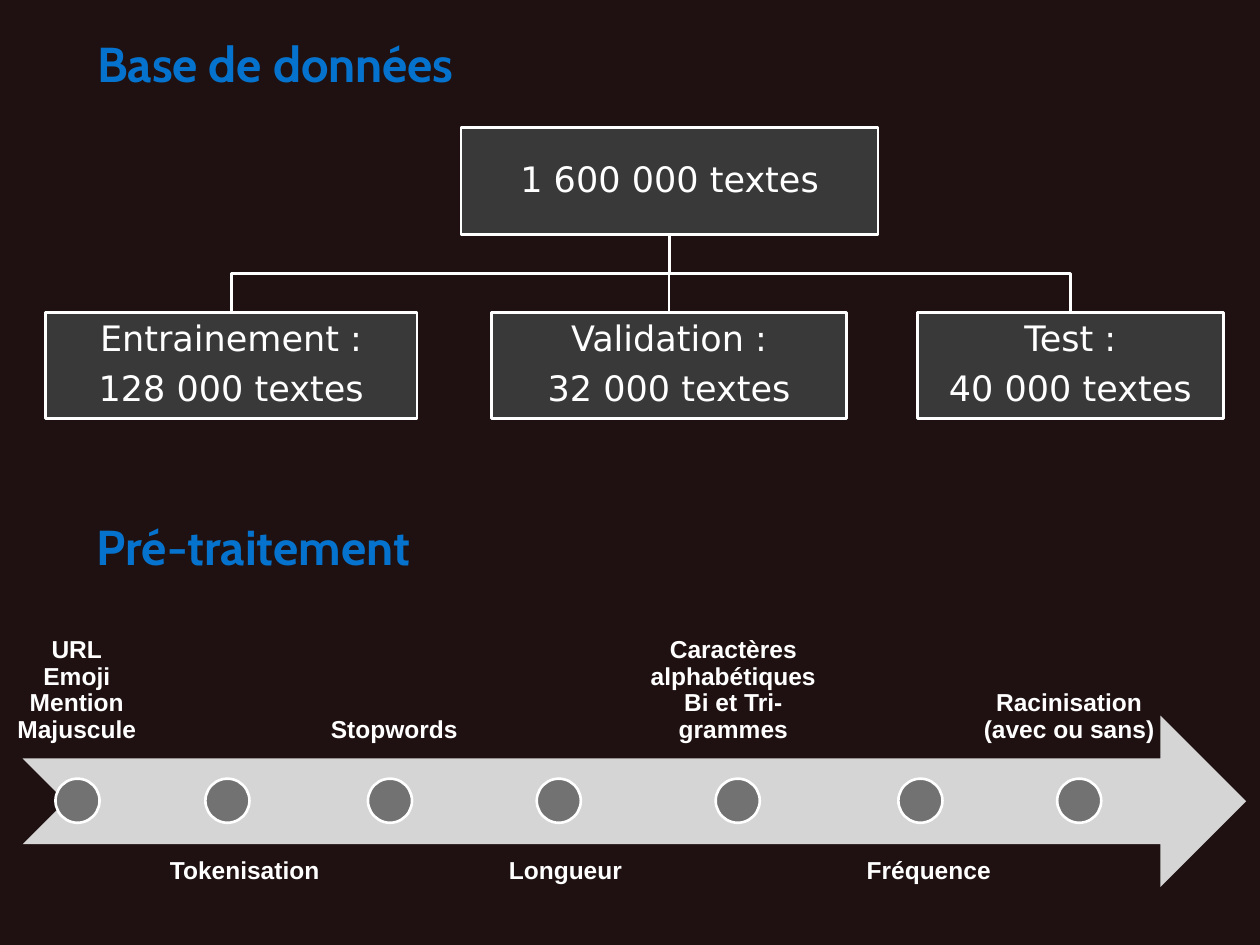
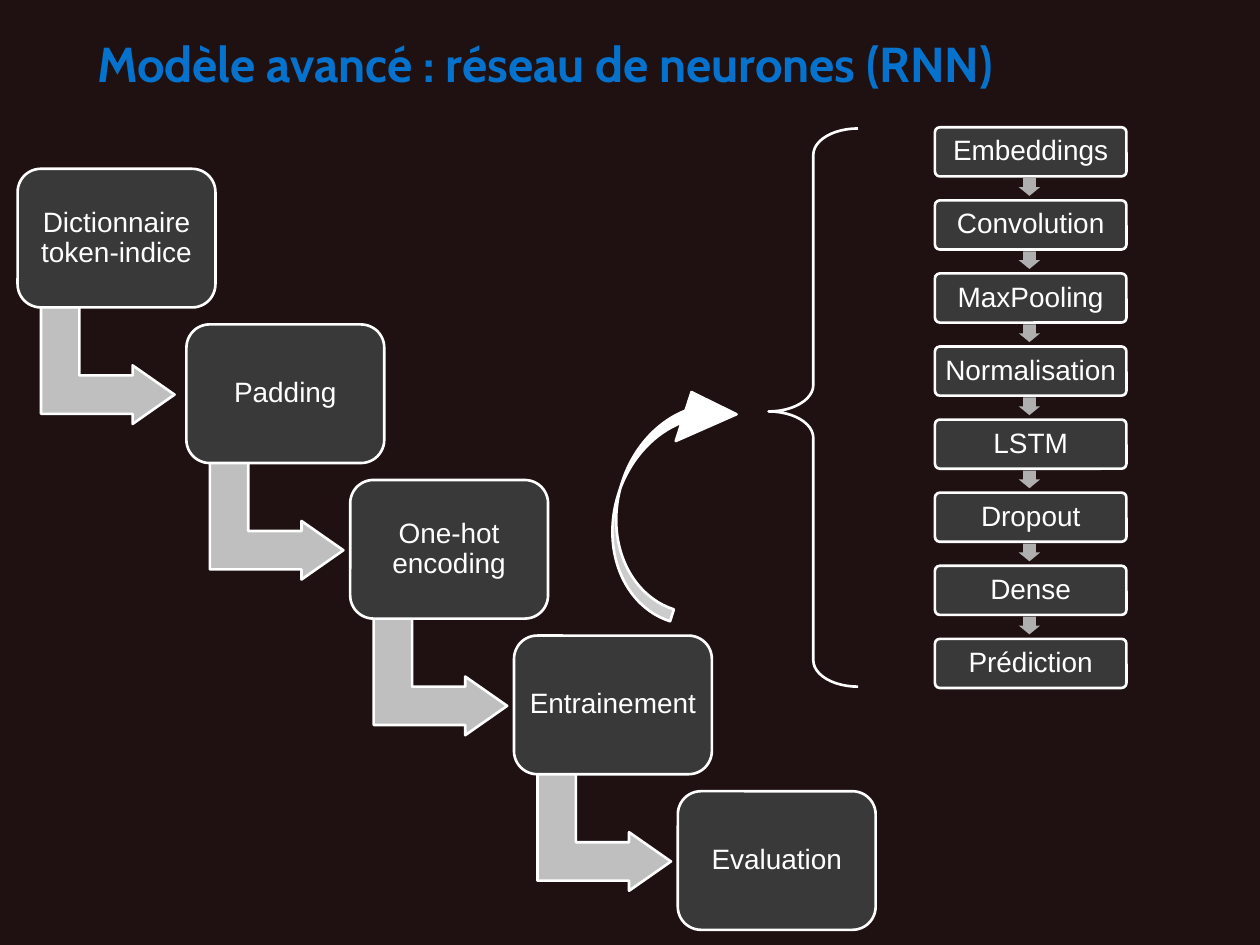
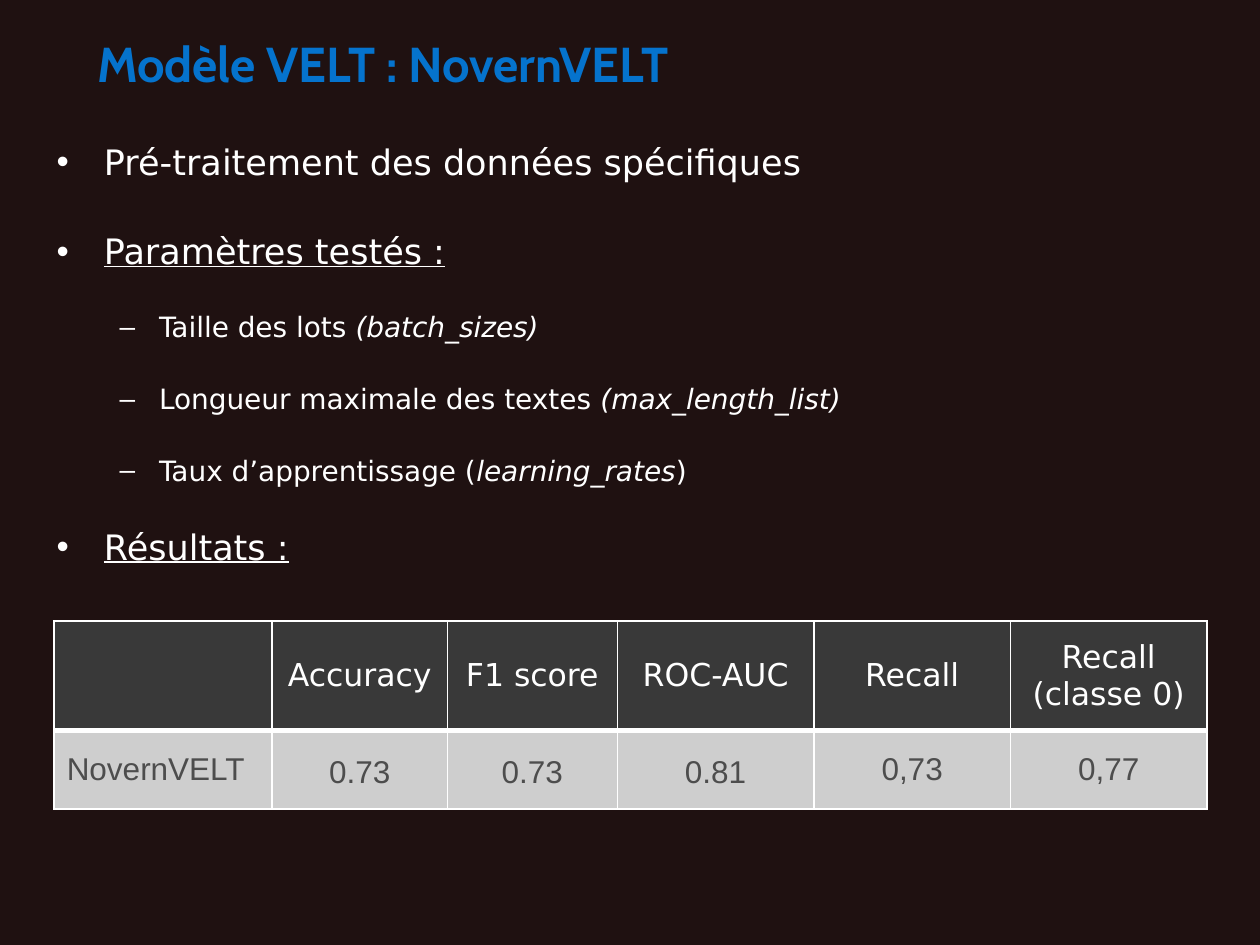
from lxml import etree
from pptx import Presentation
from pptx.dml.color import RGBColor
from pptx.enum import shapes, text
from pptx.oxml import ns
from pptx.util import Inches, Pt

# Shared look
COLORS = dict(background="1F1111", title="0573CD", white="FFFFFF", box="393939",
              dot="727272", band="D5D5D5", step_arrow="BFBFBF", layer_arrow="AFAFAF",
              row="CECECE", row_text="4D4D4D")
SANS, ARIAL, HEADING = "DejaVu Sans", "Arial", "Cabin"
LEFT, CENTER = text.PP_ALIGN.LEFT, text.PP_ALIGN.CENTER
TOP, MIDDLE, BOTTOM = text.MSO_ANCHOR.TOP, text.MSO_ANCHOR.MIDDLE, text.MSO_ANCHOR.BOTTOM
SHAPE = shapes.MSO_SHAPE
TITLE_BOX = (0.67, 0.16, 8.9, 0.68)

# Slide 1: data split, then the preprocessing steps
DATA_TITLE, STEPS_TITLE = "Base de données", "Pré-traitement"
ROOT = ("1 600 000 textes", (3.66, 1.01, 3.31, 0.85))
SPLITS = [  # text, left, width
    ("Entrainement :\n128 000 textes", 0.36, 2.95),
    ("Validation :\n32 000 textes", 3.9, 2.82),
    ("Test :\n40 000 textes", 7.28, 2.43),
]
STEPS = [  # dot left, label, label left, label width; labels alternate above and below
    (0.44, "URL\nEmoji\nMention\nMajuscule", -0.02, 1.26),
    (1.63, "Tokenisation", 1.25, 2.0),
    (2.92, "Stopwords", 2.45, 1.36),
    (4.26, "Longueur", 3.94, 1.85),
    (5.68, "Caractères alphabétiques\nBi et Tri-grammes", 4.91, 1.82),
    (7.13, "Fréquence", 6.78, 1.85),
    (8.39, "Racinisation\n(avec ou sans)", 7.64, 1.69),
]

# Slide 2: pipeline staircase and network layers
MODEL_TITLE = "Modèle avancé : réseau de neurones (RNN)"
STAIRS = [("Dictionnaire token-indice", 0.14), ("Padding", 1.48),
          ("One-hot encoding", 2.78), ("Entrainement", 4.08), ("Evaluation", 5.38)]
LAYERS = ["Embeddings", "Convolution", "MaxPooling", "Normalisation",
          "LSTM", "Dropout", "Dense", "Prédiction"]

# Slide 3: tested parameters and results
LANGUAGE_MODEL = "NovernVELT"
LANGUAGE_TITLE = f"Modèle VELT : {LANGUAGE_MODEL}"
BULLETS = [  # level, space before, runs as (text, mark)
    (0, 4.7, [("Pré-traitement des données spécifiques", "")]),
    (0, 29.7, [("Paramètres testés :", "underline")]),
    (1, 23.6, [("Taille des lots ", ""), ("(batch_sizes)", "italic")]),
    (1, 23.6, [("Longueur maximale des textes ", ""), ("(max_length_list)", "italic")]),
    (1, 23.6, [("Taux d’apprentissage (", ""), ("learning_rates", "italic"), (")", "")]),
    (0, 24.6, [("Résultats :", "underline")]),
]
RESULTS = [["", "Accuracy", "F1 score", "ROC-AUC", "Recall", "Recall (classe 0)"],
           [LANGUAGE_MODEL, "0.73", "0.73", "0.81", "0,73", "0,77"]]
COLUMN_WIDTHS, ROW_HEIGHTS = [1.73, 1.39, 1.35, 1.56, 1.56, 1.56], [0.87, 0.62]
LOOSE_COLUMNS = (1, 2, 3)


def rgb(name):
    return RGBColor.from_string(COLORS[name])


def inches(*lengths):
    return [Inches(length) for length in lengths]


def style(paragraph, size, font=ARIAL, color="white", bold=False, align=LEFT):
    paragraph.alignment = align
    paragraph.font.size = Pt(size)
    paragraph.font.name = font
    paragraph.font.bold = bold
    paragraph.font.color.rgb = rgb(color)


def set_frame(frame, anchor, inset=None):
    frame.word_wrap = True
    frame.auto_size = text.MSO_AUTO_SIZE.NONE
    frame.vertical_anchor = anchor
    if inset is not None:
        frame.margin_left = frame.margin_right = Inches(inset)
        frame.margin_top = frame.margin_bottom = Inches(inset)


def add_heading(shape, words):
    shape.text_frame.text = words
    set_frame(shape.text_frame, MIDDLE)
    style(shape.text_frame.paragraphs[0], 28, HEADING, "title", True)


def place(shape, box):
    shape.left, shape.top, shape.width, shape.height = inches(*box)


def add_slide(layout, title):
    slide = presentation.slides.add_slide(presentation.slide_layouts[layout])
    place(slide.shapes.title, TITLE_BOX)
    add_heading(slide.shapes.title, title)
    return slide


def outline(shape):
    shape.line.color.rgb = rgb("white")
    shape.line.width = Pt(1.5)


def add_figure(slide, kind, box, fill=None, lined=True, adjustments=(), rotation=0):
    shape = slide.shapes.add_shape(kind, *inches(*box))
    shape.shadow.inherit = False
    shape.rotation = rotation
    for index, value in enumerate(adjustments):
        shape.adjustments[index] = value
    if fill:
        shape.fill.solid()
        shape.fill.fore_color.rgb = rgb(fill)
    else:
        shape.fill.background()
    if lined:
        outline(shape)
    else:
        shape.line.fill.background()
    return shape


def add_box(slide, kind, box, words, size, font, inset, adjustments=()):
    shape = add_figure(slide, kind, box, "box", adjustments=adjustments)
    shape.text_frame.text = words
    set_frame(shape.text_frame, MIDDLE, inset)
    for paragraph in shape.text_frame.paragraphs:
        style(paragraph, size, font, align=CENTER)
        paragraph.line_spacing = 0.9
        paragraph.space_after = Pt(7)


def add_step_label(slide, words, left, width, above):
    box = (left, 4.62, width, 1.39) if above else (left, 6.74, width, 0.64)
    frame = slide.shapes.add_textbox(*inches(*box)).text_frame
    set_frame(frame, BOTTOM if above else TOP, 0.11 if above else None)
    paragraph = frame.paragraphs[0]
    paragraph.text = words
    style(paragraph, 14, bold=True, align=CENTER if above else LEFT)
    if above:
        paragraph.line_spacing = 0.9


def add_branch(slide, points):
    corners = [inches(*point) for point in points]
    builder = slide.shapes.build_freeform(*corners[0])
    builder.add_line_segments(corners[1:], close=False)
    branch = builder.convert_to_shape()
    branch.shadow.inherit = False
    branch.fill.background()
    outline(branch)


def set_borders(cell, widths):
    properties = cell._tc.get_or_add_tcPr()
    for side, width in widths.items():
        line = etree.SubElement(properties, ns.qn(f"a:ln{side}"), w=str(Pt(width)))
        fill = etree.SubElement(line, ns.qn("a:solidFill"))
        etree.SubElement(fill, ns.qn("a:srgbClr"), val=COLORS["white"])


def build_data_slide():
    slide = add_slide(5, DATA_TITLE)
    # Tree: branches first, boxes over them
    words, (left, top, width, height) = ROOT
    center, bottom, split_top = left + width / 2, top + height, 2.48
    middle = (bottom + split_top) / 2
    for _, child_left, child_width in SPLITS:
        child = child_left + child_width / 2
        add_branch(slide, [(center, bottom), (center, middle),
                           (child, middle), (child, split_top)])
    add_box(slide, SHAPE.RECTANGLE, ROOT[1], words, 20, SANS, 0.01)
    for words, left, width in SPLITS:
        add_box(slide, SHAPE.RECTANGLE, (left, split_top, width, 0.84), words, 20, SANS, 0.01)
    # Timeline
    add_heading(slide.shapes.add_textbox(*inches(0.67, 3.99, 7.64, 0.68)), STEPS_TITLE)
    add_figure(slide, SHAPE.NOTCHED_RIGHT_ARROW, (0.18, 5.68, 9.71, 1.36), "band", lined=False)
    for index, (dot_left, words, left, width) in enumerate(STEPS):
        add_figure(slide, SHAPE.OVAL, (dot_left, 6.18, 0.35, 0.35), "dot")
        add_step_label(slide, words, left, width, above=index % 2 == 0)


def build_model_slide():
    slide = add_slide(5, MODEL_TITLE)
    # Staircase
    for index, (words, left) in enumerate(STAIRS):
        top = 1.34 + 1.235 * index
        if index < len(STAIRS) - 1:
            add_figure(slide, SHAPE.BENT_UP_ARROW, (left + 0.25, top + 1.03, 0.93, 1.06),
                       "step_arrow", adjustments=(0.328, 0.25, 0.358), rotation=90)
        add_box(slide, SHAPE.ROUNDED_RECTANGLE, (left, top, 1.57, 1.1),
                words, 16, ARIAL, 0.05, (0.167,))
    # Link from training to the layers
    add_figure(slide, SHAPE.CURVED_LEFT_ARROW, (4.93, 2.94, 0.7, 1.93), "white",
               adjustments=(0.142, 0.583, 0.564), rotation=197.8)
    # Layers
    for index, words in enumerate(LAYERS):
        top = 1.01 + 0.58 * index
        add_box(slide, SHAPE.ROUNDED_RECTANGLE, (7.42, top, 1.52, 0.39),
                words, 16, ARIAL, 0.05, (0.1,))
        if index < len(LAYERS) - 1:
            add_figure(slide, SHAPE.RIGHT_ARROW, (8.1, top + 0.39, 0.14, 0.17),
                       "layer_arrow", False, (0.6, 0.5), 90)
    add_figure(slide, SHAPE.LEFT_BRACE, (6.1, 1.02, 0.71, 4.43), adjustments=(0.295, 0.507))


def build_results_slide():
    slide = add_slide(1, LANGUAGE_TITLE)
    # Bullets
    body = slide.placeholders[1]
    place(body, (0.35, 1.1, 9.21, 6.35))
    frame = body.text_frame
    set_frame(frame, TOP)
    for index, (level, space, runs) in enumerate(BULLETS):
        paragraph = frame.add_paragraph() if index else frame.paragraphs[0]
        paragraph.level = level
        paragraph.line_spacing = 0.9
        paragraph.space_before = Pt(space)
        style(paragraph, 16 if level else 20, SANS)
        for words, mark in runs:
            run = paragraph.add_run()
            run.text = words
            if mark:
                setattr(run.font, mark, True)
    # Results table
    size = (sum(COLUMN_WIDTHS), sum(ROW_HEIGHTS))
    table = slide.shapes.add_table(len(RESULTS), len(COLUMN_WIDTHS),
                                   *inches(0.43, 4.93, *size)).table
    table.first_row = table.horz_banding = False
    for column, width in zip(table.columns, COLUMN_WIDTHS):
        column.width = Inches(width)
    for row_index, (row, height) in enumerate(zip(RESULTS, ROW_HEIGHTS)):
        table.rows[row_index].height = Inches(height)
        header = row_index == 0
        for column_index, words in enumerate(row):
            cell = table.cell(row_index, column_index)
            set_borders(cell, dict(L=1, R=1, T=1 if header else 3, B=3 if header else 1))
            cell.fill.solid()
            cell.fill.fore_color.rgb = rgb("box" if header else "row")
            cell.vertical_anchor = MIDDLE
            paragraph = cell.text_frame.paragraphs[0]
            paragraph.text = words
            style(paragraph, 18, SANS if header else ARIAL, "white" if header else "row_text",
                  align=CENTER if header or column_index else LEFT)
            if not header and column_index in LOOSE_COLUMNS:
                cell.margin_left = cell.margin_right = Inches(0.07)
                cell.margin_top = cell.margin_bottom = 0
                paragraph.line_spacing = 1.15
                paragraph.space_after = Pt(8)


presentation = Presentation()
presentation.slide_width, presentation.slide_height = inches(10, 7.5)
background = presentation.slide_master.background.fill
background.solid()
background.fore_color.rgb = rgb("background")
build_data_slide()
build_model_slide()
build_results_slide()
presentation.save("out.pptx")
